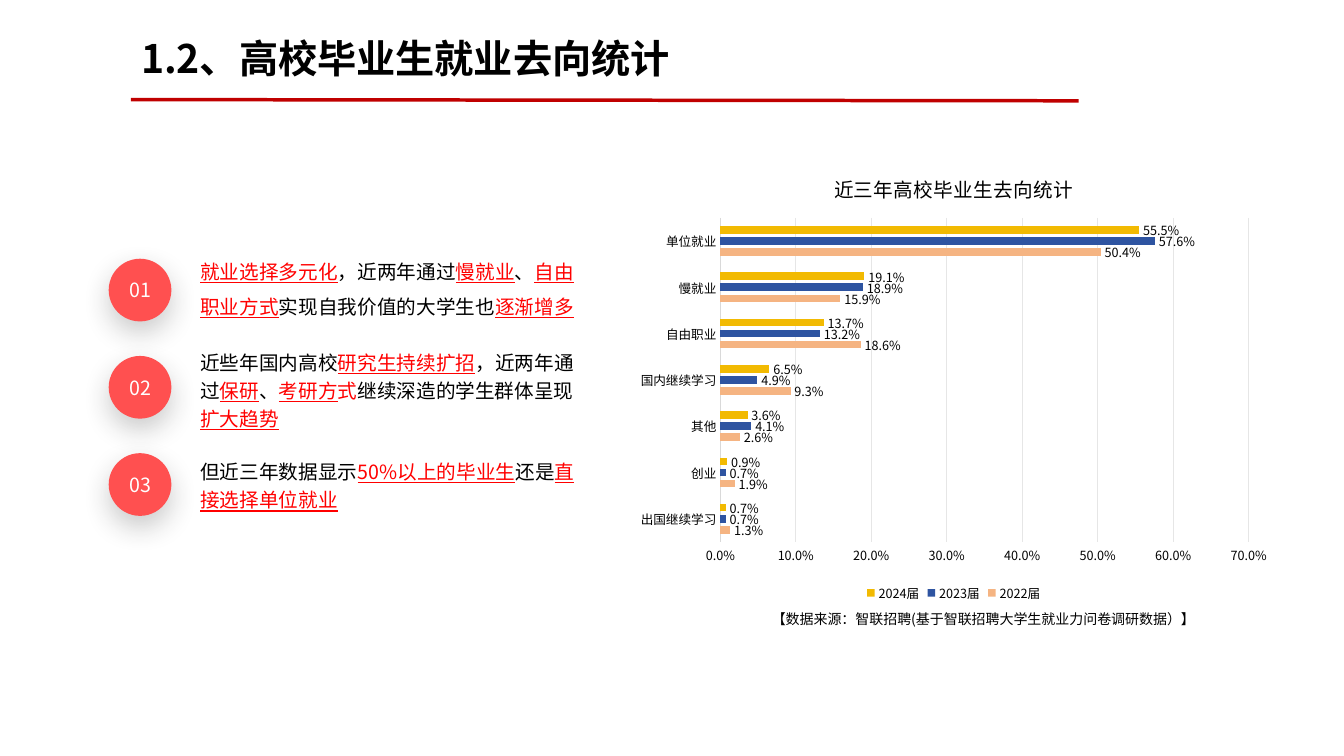
from lxml.etree import SubElement
from pptx import Presentation
from pptx.chart.data import CategoryChartData
from pptx.dml.color import RGBColor
from pptx.enum.chart import XL_CHART_TYPE, XL_LABEL_POSITION, XL_LEGEND_POSITION, XL_TICK_MARK
from pptx.enum.shapes import MSO_CONNECTOR, MSO_SHAPE
from pptx.enum.text import MSO_ANCHOR, MSO_AUTO_SIZE, PP_ALIGN
from pptx.oxml import parse_xml
from pptx.oxml.ns import nsdecls, qn
from pptx.util import Cm, Pt

FONT = "Noto Sans CJK SC"
BLACK = RGBColor(0x00, 0x00, 0x00)
WHITE = RGBColor(0xFF, 0xFF, 0xFF)
RED = RGBColor(0xFF, 0x00, 0x00)
DARK_RED = RGBColor(0xC0, 0x00, 0x00)
CORAL = RGBColor(0xFF, 0x50, 0x50)
AXIS_GREY = RGBColor(0xD9, 0xD9, 0xD9)
GRID_GREY = RGBColor(0xE6, 0xE6, 0xE6)

TITLE = "1.2、高校毕业生就业去向统计"
CHART_TITLE = "近三年高校毕业生去向统计"
SOURCE = "【数据来源：智联招聘(基于智联招聘大学生就业力问卷调研数据）】"

PLAIN, MARKED, RED_ONLY = (BLACK, False), (RED, True), (RED, False)
POINTS = [
    (6.12, 2.26, 1.5, [
        ("就业选择多元化", MARKED), ("，近两年通过", PLAIN), ("慢就业", MARKED), ("、", PLAIN),
        ("自由职业方式", MARKED), ("实现自我价值的大学生也", PLAIN), ("逐渐增多", MARKED)]),
    (8.59, 2.41, 1.2, [
        ("近些年国内高校", PLAIN), ("研究生持续扩招", MARKED), ("，近两年通过", PLAIN),
        ("保研", MARKED), ("、", PLAIN), ("考研方", MARKED), ("式", RED_ONLY),
        ("继续深造的学生群体呈现", PLAIN), ("扩大趋势", MARKED)]),
    (11.35, 1.68, 1.2, [
        ("但近三年数据显示", PLAIN), ("50%以上的毕业生", MARKED), ("还是", PLAIN),
        ("直接选择单位就业", MARKED)]),
]

CATEGORIES = ["出国继续学习", "创业", "其他", "国内继续学习", "自由职业", "慢就业", "单位就业"]
SERIES = [
    ("2022届", RGBColor(0xF5, 0xB4, 0x82), [0.013, 0.019, 0.026, 0.093, 0.186, 0.159, 0.504]),
    ("2023届", RGBColor(0x2E, 0x54, 0xA1), [0.007, 0.007, 0.041, 0.049, 0.132, 0.189, 0.576]),
    ("2024届", RGBColor(0xF2, 0xBA, 0x02), [0.007, 0.009, 0.036, 0.065, 0.137, 0.191, 0.555]),
]

CIRCLE_LEFT, CIRCLE_TOP, CIRCLE_STEP, CIRCLE_SIZE = 2.74, 6.52, 2.45, 1.58
SHADOW = (
    f'<a:effectLst {nsdecls("a")}><a:outerShdw blurRad="{Pt(20)}" dist="{Pt(8)}" dir="5400000" '
    'algn="t" rotWithShape="0"><a:srgbClr val="262626"><a:alpha val="23000"/></a:srgbClr>'
    '</a:outerShdw></a:effectLst>')


def style_font(font, size, color=BLACK, bold=False):
    """Apply the slide's typeface with a size, colour and weight."""
    font.name, font.size, font.bold = FONT, Pt(size), bold
    font.color.rgb = color


def add_east_asian_fonts(root):
    """Give every Latin typeface a matching East Asian one."""
    for latin in list(root.iter(qn("a:latin"))):
        east_asian = latin.makeelement(qn("a:ea"), {"typeface": latin.get("typeface")})
        latin.addnext(east_asian)


def fill_text(frame, spans, size, color=BLACK, bold=False, spacing=None):
    """Write one paragraph of spans, each with an optional colour and underline."""
    frame.word_wrap = True
    para = frame.paragraphs[0]
    para.alignment = PP_ALIGN.LEFT
    if spacing:
        para.line_spacing = spacing
    style_font(para.font, size, color, bold)
    for text, mark in spans:
        span = para.add_run()
        span.text = text
        if mark:
            span.font.color.rgb = mark[0]
            span.font.underline = mark[1] or None
    return para


def add_heading(page):
    """Format the title and draw the rule below it."""
    title = page.shapes.title
    title.left, title.top, title.width, title.height = Cm(3.3), Cm(0.74), Cm(19.74), Cm(1.45)
    frame = title.text_frame
    frame.auto_size = MSO_AUTO_SIZE.NONE
    frame.vertical_anchor = MSO_ANCHOR.TOP
    fill_text(frame, [(TITLE, None)], 28, bold=True).line_spacing = 1.0
    rule = page.shapes.add_connector(
        MSO_CONNECTOR.STRAIGHT, Cm(3.3), Cm(2.51), Cm(27.18), Cm(2.54))
    rule.line.color.rgb = DARK_RED
    rule.line.width = Pt(2.5)
    SubElement(rule.element.spPr, qn("a:effectLst"))


def add_points(page):
    """Place the numbered circles and their statements."""
    for index, (top, height, spacing, spans) in enumerate(POINTS):
        circle = page.shapes.add_shape(
            MSO_SHAPE.OVAL, Cm(CIRCLE_LEFT), Cm(CIRCLE_TOP + index * CIRCLE_STEP),
            Cm(CIRCLE_SIZE), Cm(CIRCLE_SIZE))
        circle.fill.solid()
        circle.fill.fore_color.rgb = CORAL
        circle.line.fill.background()
        circle.element.spPr.append(parse_xml(SHADOW))
        circle.text_frame.vertical_anchor = MSO_ANCHOR.MIDDLE
        number = fill_text(circle.text_frame, [(f"{index + 1:02d}", None)], 14, WHITE)
        number.alignment = PP_ALIGN.CENTER
        box = page.shapes.add_textbox(Cm(4.8), Cm(top), Cm(10.34), Cm(height))
        fill_text(box.text_frame, spans, 14, spacing=spacing)


def add_destination_chart(page):
    """Build the clustered bar chart of graduate destinations."""
    data = CategoryChartData(number_format="0.0%")
    data.categories = CATEGORIES
    for name, color, values in SERIES:
        data.add_series(name, values)
    chart = page.shapes.add_chart(
        XL_CHART_TYPE.BAR_CLUSTERED, Cm(15.82), Cm(3.89), Cm(16.43), Cm(11.38), data).chart
    style_font(chart.font, 9)
    chart.has_title = True
    heading = chart.chart_title.text_frame
    heading.text = CHART_TITLE
    style_font(heading.paragraphs[0].font, 14)
    chart.has_legend = True
    chart.legend.position = XL_LEGEND_POSITION.BOTTOM
    chart.legend.include_in_layout = False
    style_font(chart.legend.font, 9)

    for axis in (chart.category_axis, chart.value_axis):
        axis.major_tick_mark = axis.minor_tick_mark = XL_TICK_MARK.NONE
        style_font(axis.tick_labels.font, 9)
    chart.category_axis.format.line.color.rgb = AXIS_GREY
    chart.category_axis.format.line.width = Pt(0.75)
    value_axis = chart.value_axis
    value_axis.format.line.fill.background()
    value_axis.major_gridlines.format.line.color.rgb = GRID_GREY
    value_axis.major_gridlines.format.line.width = Pt(0.75)
    value_axis.tick_labels.number_format = "0.0%"
    value_axis.tick_labels.number_format_is_linked = False

    plot = chart.plots[0]
    plot.gap_width, plot.overlap, plot.vary_by_categories = 219, -45, False
    for series, (name, color, values) in zip(plot.series, SERIES):
        series.format.fill.solid()
        series.format.fill.fore_color.rgb = color
        labels = series.data_labels
        labels.show_value = True
        labels.position = XL_LABEL_POSITION.OUTSIDE_END
        labels.number_format = "0.0%"
        labels.number_format_is_linked = False
        style_font(labels.font, 9)
    add_east_asian_fonts(chart.element)


def main():
    """Build and save the slide."""
    deck = Presentation()
    deck.slide_width, deck.slide_height = Cm(33.87), Cm(19.05)
    page = deck.slides.add_slide(deck.slide_layouts[5])
    add_heading(page)
    add_points(page)
    add_destination_chart(page)
    source = page.shapes.add_textbox(Cm(19.2), Cm(15.27), Cm(11.18), Cm(0.66))
    fill_text(source.text_frame, [(SOURCE, None)], 10)
    add_east_asian_fonts(page.element)
    deck.save("out.pptx")


if __name__ == "__main__":
    main()
